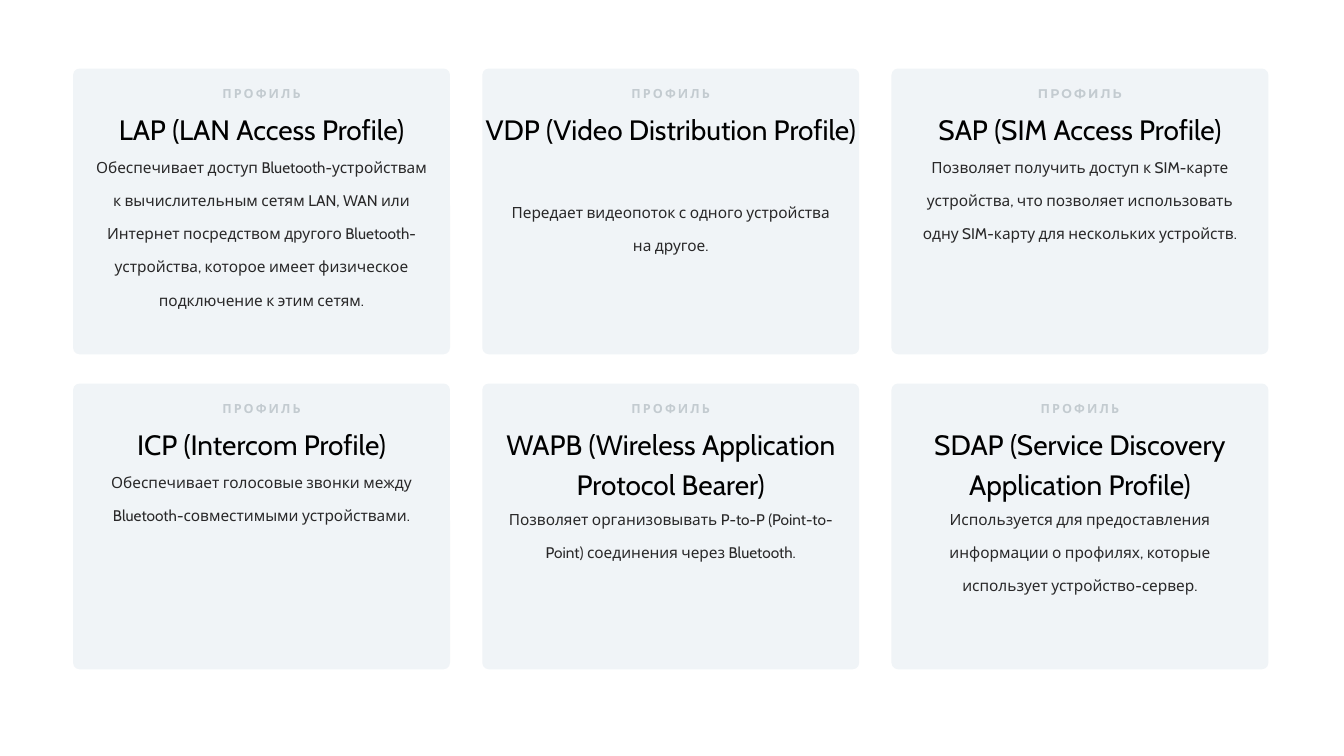
from pptx import Presentation
from pptx.dml.color import RGBColor
from pptx.enum.shapes import MSO_SHAPE
from pptx.enum.text import MSO_ANCHOR, MSO_AUTO_SIZE, PP_ALIGN
from pptx.util import Inches, Pt

COLORS = {"card": "F0F4F7", "heading": "000000", "body": "292829", "label": "C3CBD0"}
CARD_WIDTH, CARD_HEIGHT = 7.48, 5.67
LEFT, TOP = 1.45, 1.36
COLUMN_STEP, ROW_STEP = 8.12, 6.25

profiles = [
    ("LAP (LAN Access Profile)",
     "Обеспечивает доступ Bluetooth-устройствам к вычислительным сетям LAN, WAN или "
     "Интернет посредством другого Bluetooth-устройства, которое имеет физическое "
     "подключение к этим сетям.", 1.43, 3.34, "Cabin"),
    ("VDP (Video Distribution Profile)",
     "Передает видеопоток с одного устройства на другое.", 2.33, 1.34, "Cabin"),
    ("SAP (SIM Access Profile)",
     "Позволяет получить доступ к SIM-карте устройства, что позволяет использовать "
     "одну SIM-карту для нескольких устройств.", 1.43, 2, "Montserrat"),
    ("ICP (Intercom Profile)",
     "Обеспечивает голосовые звонки между Bluetooth-совместимыми устройствами.",
     1.43, 1.34, "Cabin"),
    ("WAPB (Wireless Application Protocol Bearer)",
     "Позволяет организовывать P-to-P (Point-to-Point) соединения через Bluetooth.",
     2.16, 1.34, "Cabin"),
    ("SDAP (Service Discovery Application Profile)",
     "Используется для предоставления информации о профилях, которые использует "
     "устройство-сервер.", 2.16, 2, "Cabin"),
]


def add_text(group, text, center, top, width, height, size, color, font="Cabin", spacing=1.0):
    box = group.shapes.add_textbox(
        Inches(center - width / 2), Inches(top), Inches(width), Inches(height))
    frame = box.text_frame
    frame.word_wrap = True
    frame.text = text
    paragraph = frame.paragraphs[0]
    paragraph.alignment = PP_ALIGN.CENTER
    paragraph.line_spacing = spacing
    run = paragraph.runs[0]
    run.font.name = font
    run.font.size = Pt(size)
    run.font.color.rgb = RGBColor.from_string(COLORS[color])
    return frame


def set_margins(frame, inset):
    frame.margin_left = frame.margin_right = inset
    frame.margin_top = frame.margin_bottom = inset


prs = Presentation()
prs.slide_width, prs.slide_height = Inches(26.67), Inches(15)
slide = prs.slides.add_slide(prs.slide_layouts[6])

for index, (name, description, body_offset, body_height, label_font) in enumerate(profiles):
    row, column = divmod(index, 3)
    left = LEFT + column * COLUMN_STEP
    top = TOP + row * ROW_STEP
    center = left + CARD_WIDTH / 2
    group = slide.shapes.add_group_shape()

    card = group.shapes.add_shape(
        MSO_SHAPE.ROUNDED_RECTANGLE,
        Inches(left), Inches(top), Inches(CARD_WIDTH), Inches(CARD_HEIGHT))
    card.adjustments[0] = 0.023
    card.shadow.inherit = False
    card.fill.solid()
    card.fill.fore_color.rgb = RGBColor.from_string(COLORS["card"])
    card.line.fill.background()

    heading = add_text(group, name, center, top + 0.69, CARD_WIDTH, 1.1,
                       40, "heading", spacing=1.2)
    set_margins(heading, Inches(0.04))

    body = add_text(group, description, center, top + body_offset, 6.85, body_height,
                    22, "body", spacing=1.8)
    body.auto_size = MSO_AUTO_SIZE.SHAPE_TO_FIT_TEXT

    label = add_text(group, "ПРОФИЛЬ", center, top + 0.3, 6.12, 0.39,
                     18, "label", font=label_font)
    set_margins(label, Inches(0.04))
    label.vertical_anchor = MSO_ANCHOR.MIDDLE
    label.auto_size = MSO_AUTO_SIZE.SHAPE_TO_FIT_TEXT
    label_run = label.paragraphs[0].runs[0]
    label_run.font.bold = True
    label_run.font._element.set("spc", "300")

prs.save("out.pptx")
